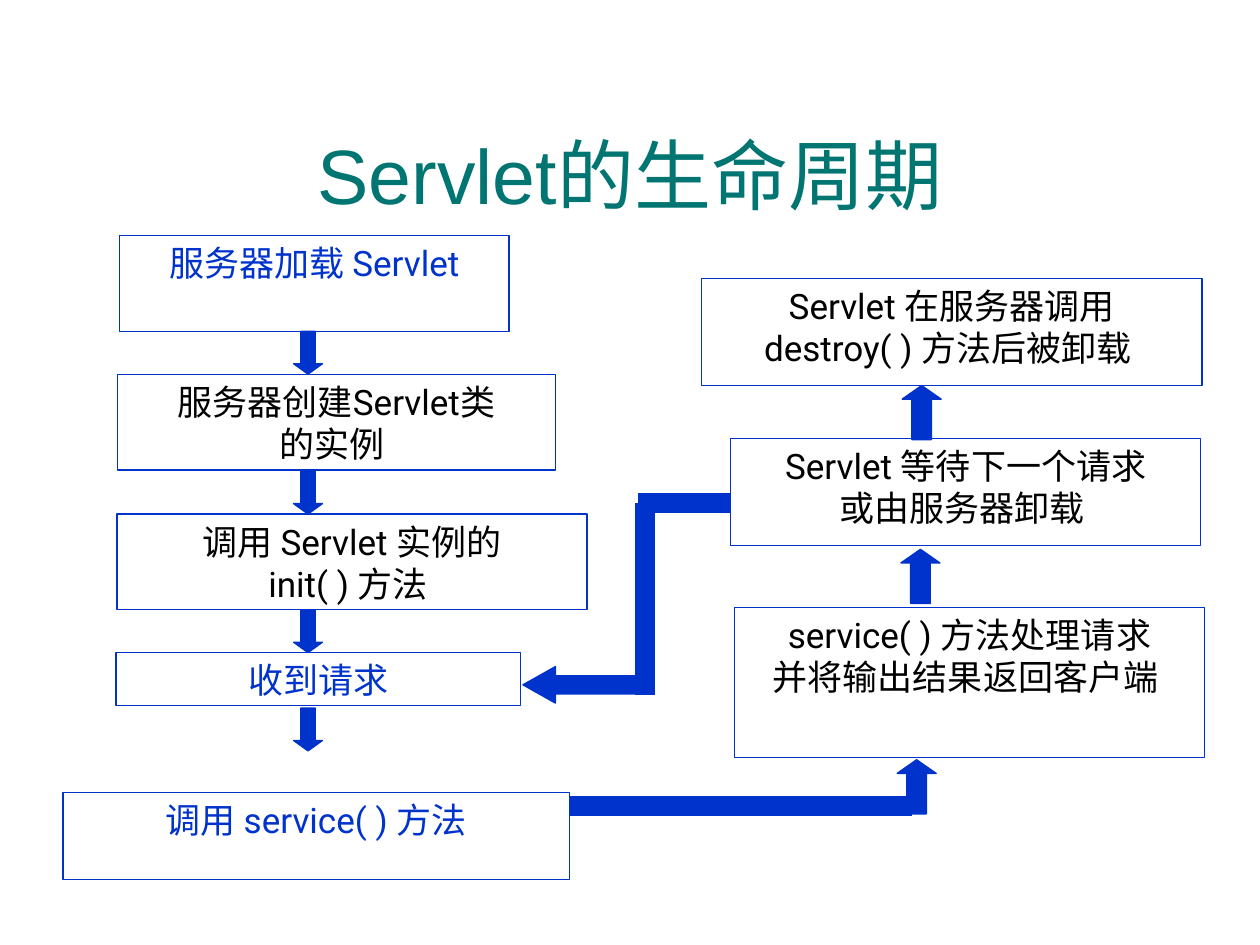
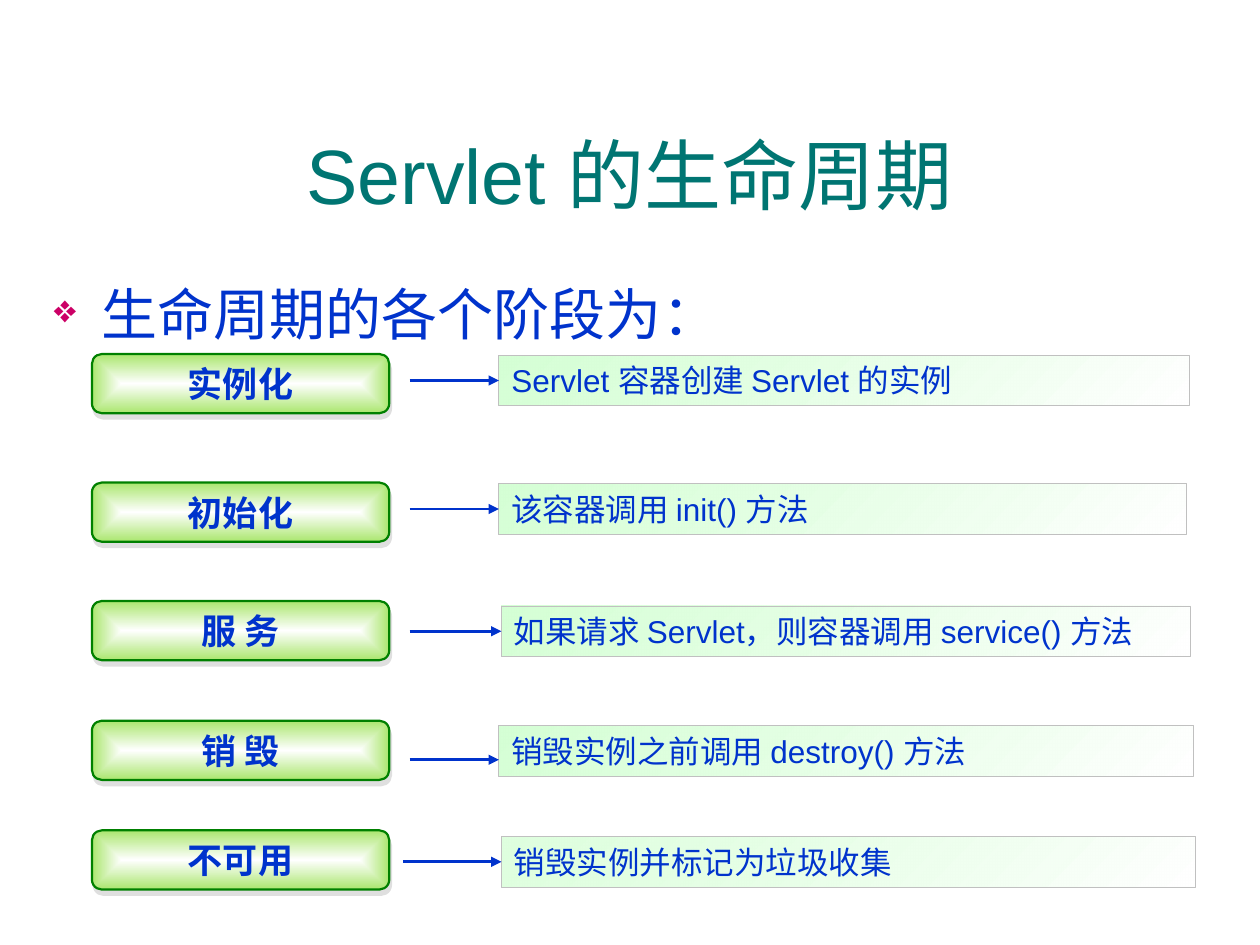
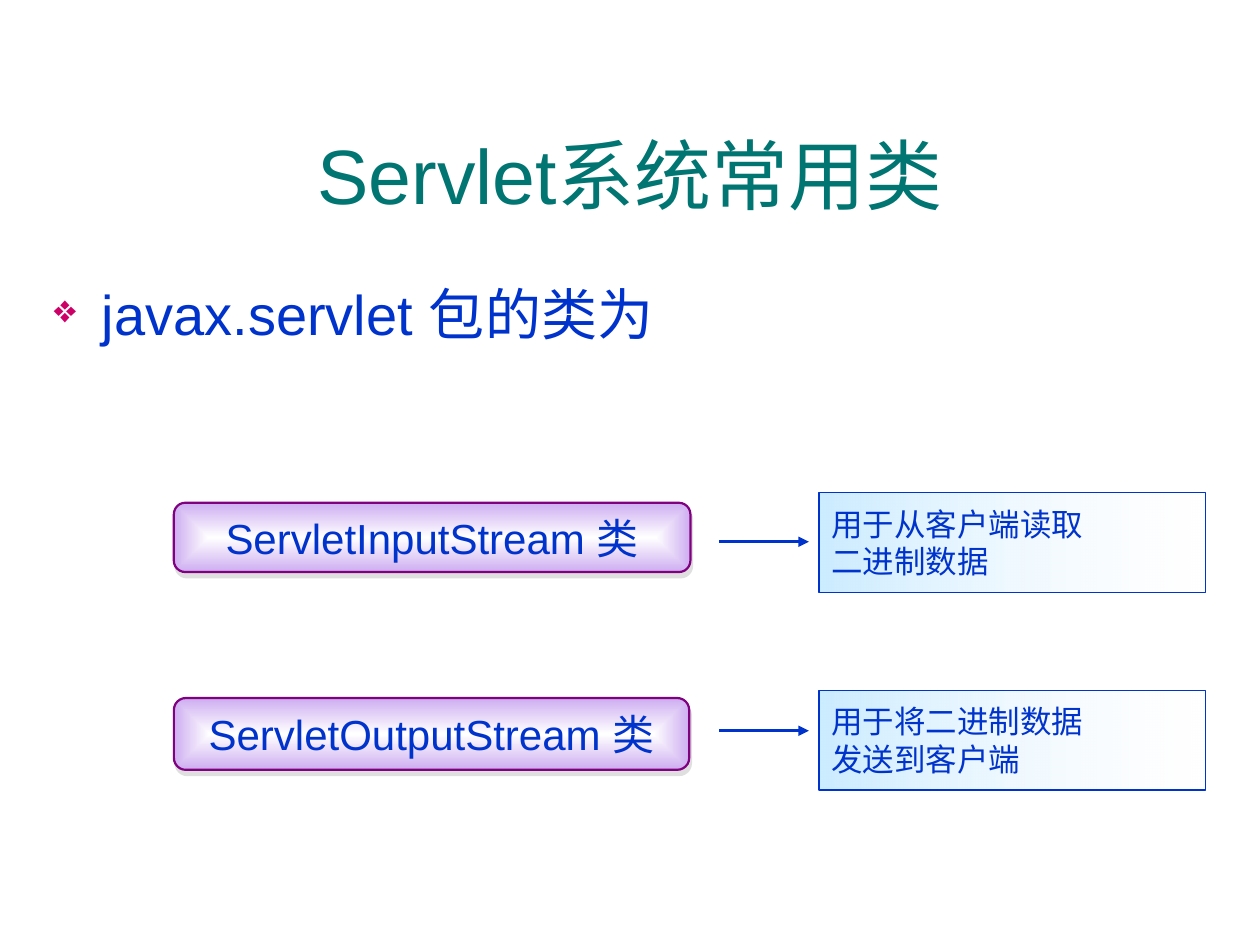
from pptx import Presentation
from pptx.dml.color import RGBColor
from pptx.enum.shapes import MSO_CONNECTOR, MSO_SHAPE
from pptx.enum.text import MSO_ANCHOR, MSO_AUTO_SIZE, PP_ALIGN
from pptx.oxml import parse_xml
from pptx.oxml.ns import nsdecls, qn
from pptx.util import Inches, Pt

RECTANGLE = MSO_SHAPE.RECTANGLE
PILL = MSO_SHAPE.FLOWCHART_ALTERNATE_PROCESS
DOWN, UP, LEFT = MSO_SHAPE.DOWN_ARROW, MSO_SHAPE.UP_ARROW, MSO_SHAPE.LEFT_ARROW
STRAIGHT = MSO_CONNECTOR.STRAIGHT
TOP, MIDDLE = MSO_ANCHOR.TOP, MSO_ANCHOR.MIDDLE
FIT_SHAPE = MSO_AUTO_SIZE.SHAPE_TO_FIT_TEXT
ALIGN_LEFT, CENTER = PP_ALIGN.LEFT, PP_ALIGN.CENTER
LEFT_SIDE = 1

COLORS = {
    "title": "007572", "blue": "0033CC", "black": "000000", "bullet": "CC0066",
    "white": "FFFFFF", "green_line": "008000", "green": "AAE66E",
    "pale_green": "CCFFCC", "gray": "C0C0C0", "purple_line": "800080",
    "purple": "CDADF1", "pale_blue": "CCECFF",
}

# Text styles: font values, frame values, alignment and colour
STYLES = {
    "title": {"font": {"name": "Arial", "size": Pt(44)}, "align": CENTER, "color": "title",
              "frame": {"word_wrap": True, "vertical_anchor": MIDDLE}},
    "body": {"font": {"name": "Arial", "size": Pt(32)}, "align": ALIGN_LEFT, "color": "blue",
             "frame": {"word_wrap": True, "vertical_anchor": TOP}},
    "step": {"font": {"name": "Roboto", "size": Pt(20)}, "align": CENTER, "color": "black",
             "frame": {"word_wrap": True, "vertical_anchor": TOP}},
    "phase": {"font": {"name": "Arial", "size": Pt(20), "bold": True}, "align": CENTER,
              "color": "blue", "frame": {"word_wrap": False, "vertical_anchor": MIDDLE}},
    "class": {"font": {"name": "Arial", "size": Pt(24)}, "align": CENTER, "color": "blue",
              "frame": {"word_wrap": False, "vertical_anchor": MIDDLE}},
    "phase_note": {"font": {"name": "Arial", "size": Pt(18)}, "align": ALIGN_LEFT,
                   "color": "blue", "frame": {"word_wrap": True, "vertical_anchor": TOP,
                                              "auto_size": FIT_SHAPE}},
    "class_note": {"font": {"name": "Arial", "size": Pt(18)}, "align": ALIGN_LEFT,
                   "color": "blue", "frame": {"word_wrap": False, "vertical_anchor": MIDDLE}},
}


def rgb(name):
    return RGBColor.from_string(COLORS[name])


def set_values(target, values):
    for name, value in values.items():
        setattr(target, name, value)


def write_text(shape, text, style_name, color=None, font_name=None):
    style = STYLES[style_name]
    frame = shape.text_frame
    set_values(frame, style["frame"])
    for index, line in enumerate(text.split("\n")):
        paragraph = frame.add_paragraph() if index else frame.paragraphs[0]
        paragraph.alignment = style["align"]
        run = paragraph.add_run()
        run.text = line
        set_values(run.font, style["font"])
        run.font.name = font_name or style["font"]["name"]
        run.font.color.rgb = rgb(color or style["color"])


def add_text(slide, box, text, style_name):
    shape = slide.shapes.add_textbox(*map(Inches, box))
    write_text(shape, text, style_name)
    return shape


def add_title(slide, text):
    add_text(slide, (0.33, 0.75, 9.34, 1.25), text, "title")


def add_bullet(slide, text):
    shape = add_text(slide, (0.33, 2.17, 9.34, 4.25), text, "body")
    paragraph = shape.text_frame.paragraphs[0]
    paragraph.space_before = Pt(8)
    properties = paragraph._p.get_or_add_pPr()
    properties.set("marL", str(Inches(0.38)))
    properties.set("indent", str(Inches(-0.38)))
    for markup in (f'<a:buClr {nsdecls("a")}><a:srgbClr val="{COLORS["bullet"]}"/></a:buClr>',
                   f'<a:buSzPct {nsdecls("a")} val="70000"/>',
                   f'<a:buChar {nsdecls("a")} char="❖"/>'):
        properties.append(parse_xml(markup))


def add_outlined(slide, kind, box, line_color="blue", line_width=0.75):
    shape = slide.shapes.add_shape(kind, *map(Inches, box))
    shape.shadow.inherit = False
    shape.fill.background()
    shape.line.color.rgb = rgb(line_color)
    shape.line.width = Pt(line_width)
    return shape


def color_markup(name, alpha=100):
    return f'<a:srgbClr val="{COLORS[name]}"><a:alpha val="{alpha * 1000}"/></a:srgbClr>'


def set_gradient(shape, color, angle=None, start_alpha=100, end_alpha=100):
    """Fade from white to the colour: along an angle, or outwards from the centre."""
    if angle is None:
        direction = ('<a:path path="rect"><a:fillToRect l="50000" t="50000" '
                     'r="50000" b="50000"/></a:path>')
    else:
        direction = f'<a:lin ang="{angle * 60000}" scaled="1"/>'
    gradient = parse_xml(
        f'<a:gradFill {nsdecls("a")} rotWithShape="1"><a:gsLst>'
        f'<a:gs pos="0">{color_markup("white", start_alpha)}</a:gs>'
        f'<a:gs pos="100000">{color_markup(color, end_alpha)}</a:gs>'
        f'</a:gsLst>{direction}</a:gradFill>')
    properties = shape.element.spPr
    properties.replace(properties.find(qn("a:noFill")), gradient)


def add_pill(slide, box, text, style_name, fill, line):
    shape = add_outlined(slide, PILL, box, line, 1.25)
    set_gradient(shape, fill)
    shape.element.spPr.find(qn("a:effectLst")).append(parse_xml(
        f'<a:outerShdw {nsdecls("a")} blurRad="0" dist="{Pt(3.2)}" dir="{72 * 60000}" '
        f'algn="ctr" rotWithShape="0">{color_markup("gray", 50)}</a:outerShdw>'))
    write_text(shape, text, style_name)


def add_block_arrow(slide, kind, box, head):
    shape = add_outlined(slide, kind, box)
    shape.fill.solid()
    shape.fill.fore_color.rgb = rgb("blue")
    shape.adjustments[1] = head


def add_line(slide, start, end, width):
    line = slide.shapes.add_connector(STRAIGHT, *map(Inches, start + end))
    line.line.color.rgb = rgb("blue")
    line.line.width = Pt(width)
    line.element.spPr.append(parse_xml(f'<a:effectLst {nsdecls("a")}/>'))
    return line


def add_arrow(slide, start, end):
    arrow = add_line(slide, start, end, 1.5)
    arrow.element.spPr.find(qn("a:ln")).append(
        parse_xml(f'<a:tailEnd {nsdecls("a")} type="triangle"/>'))
    return arrow


def build_flow_slide(slide):
    add_title(slide, "Servlet的生命周期")
    # Steps
    steps = [
        ((0.5, 6.29, 4.02, 0.69), "调用 service( ) 方法", "blue", None),
        ((0.95, 1.87, 3.09, 0.76), "服务器加载 Servlet", "blue", None),
        ((0.93, 2.97, 3.48, 0.76), "服务器创建Servlet类\n的实例 ", "black", None),
        ((0.93, 4.08, 3.73, 0.76), "调用 Servlet 实例的\ninit( ) 方法 ", "black", None),
        ((0.92, 5.18, 3.21, 0.42), "收到请求", "blue", "Times New Roman"),
        ((5.83, 4.82, 3.73, 1.19), "service( ) 方法处理请求\n并将输出结果返回客户端 ", "black", None),
        ((5.8, 3.48, 3.73, 0.85), "Servlet 等待下一个请求\n或由服务器卸载 ", "black", None),
        ((5.57, 2.21, 3.97, 0.85), "Servlet 在服务器调用\ndestroy( ) 方法后被卸载 ", "black", None),
    ]
    for box, text, color, font_name in steps:
        step = add_outlined(slide, RECTANGLE, box)
        write_text(step, text, "step", color, font_name)
    # Arrows between steps
    for top in (2.63, 3.74, 4.84, 5.62):
        add_block_arrow(slide, DOWN, (2.33, top, 0.23, 0.34), 0.36)
    for left, top in ((7.15, 4.36), (7.16, 3.06), (7.12, 6.03)):
        add_block_arrow(slide, UP, (left, top, 0.31, 0.43), 0.35)
    add_block_arrow(slide, LEFT, (4.15, 5.29, 1.02, 0.29), 0.89)
    # Thick paths
    for start, end in (((5.06, 3.99), (5.8, 3.99)),
                       ((5.12, 3.99), (5.12, 5.52)),
                       ((4.52, 6.4), (7.24, 6.4))):
        add_line(slide, start, end, 11.5)


def build_phase_slide(slide):
    add_title(slide, "Servlet 的生命周期")
    add_bullet(slide, "生命周期的各个阶段为：")
    # Name, its top, note, note box (left, top, width), arrow start, loose arrow height, opacity
    phases = [
        ("实例化", 2.81, "Servlet 容器创建 Servlet 的实例", (3.96, 2.82, 5.48), 3.25, None, 81),
        ("初始化", 3.83, "该容器调用 init() 方法", (3.96, 3.84, 5.46), 3.25, None, 81),
        ("服 务", 4.77, "如果请求 Servlet，则容器调用 service() 方法",
         (3.98, 4.81, 5.47), 3.25, None, 81),
        ("销 毁", 5.72, "销毁实例之前调用 destroy() 方法", (3.96, 5.76, 5.51), 3.25, 6.03, 81),
        ("不可用", 6.59, "销毁实例并标记为垃圾收集", (3.98, 6.64, 5.51), 3.2, None, 62),
    ]
    note_height = 0.4
    for name, top, text, (left, note_top, width), arrow_left, loose_y, alpha in phases:
        add_pill(slide, (0.73, top, 2.36, 0.47), name, "phase", "green", "green_line")
        note = add_outlined(slide, RECTANGLE, (left, note_top, width, note_height), "gray", 0.5)
        set_gradient(note, "pale_green", 225, end_alpha=alpha)
        write_text(note, text, "phase_note")
        arrow_y = loose_y or note_top + note_height / 2
        arrow = add_arrow(slide, (arrow_left, arrow_y), (left, arrow_y))
        if loose_y is None:
            arrow.end_connect(note, LEFT_SIDE)


def build_class_slide(slide):
    add_title(slide, "Servlet系统常用类")
    add_bullet(slide, "javax.servlet 包的类为")
    classes = [
        ("ServletInputStream 类", (1.38, 3.99, 4.1, 0.55), 4.3, 3.91, "用于从客户端读取\n二进制数据"),
        ("ServletOutputStream 类", (1.38, 5.54, 4.09, 0.57), 5.8, 5.48, "用于将二进制数据\n发送到客户端"),
    ]
    for name, box, arrow_y, note_top, text in classes:
        add_pill(slide, box, name, "class", "purple", "purple_line")
        add_arrow(slide, (5.71, arrow_y), (6.42, arrow_y))
        note = add_outlined(slide, RECTANGLE, (6.5, note_top, 3.07, 0.79))
        set_gradient(note, "pale_blue", 180, start_alpha=26)
        write_text(note, text, "class_note")


def main():
    presentation = Presentation()
    presentation.slide_width = Inches(10)
    presentation.slide_height = Inches(7.5)
    blank = presentation.slide_layouts[6]
    for build in (build_flow_slide, build_phase_slide, build_class_slide):
        build(presentation.slides.add_slide(blank))
    presentation.save("out.pptx")


if __name__ == "__main__":
    main()
